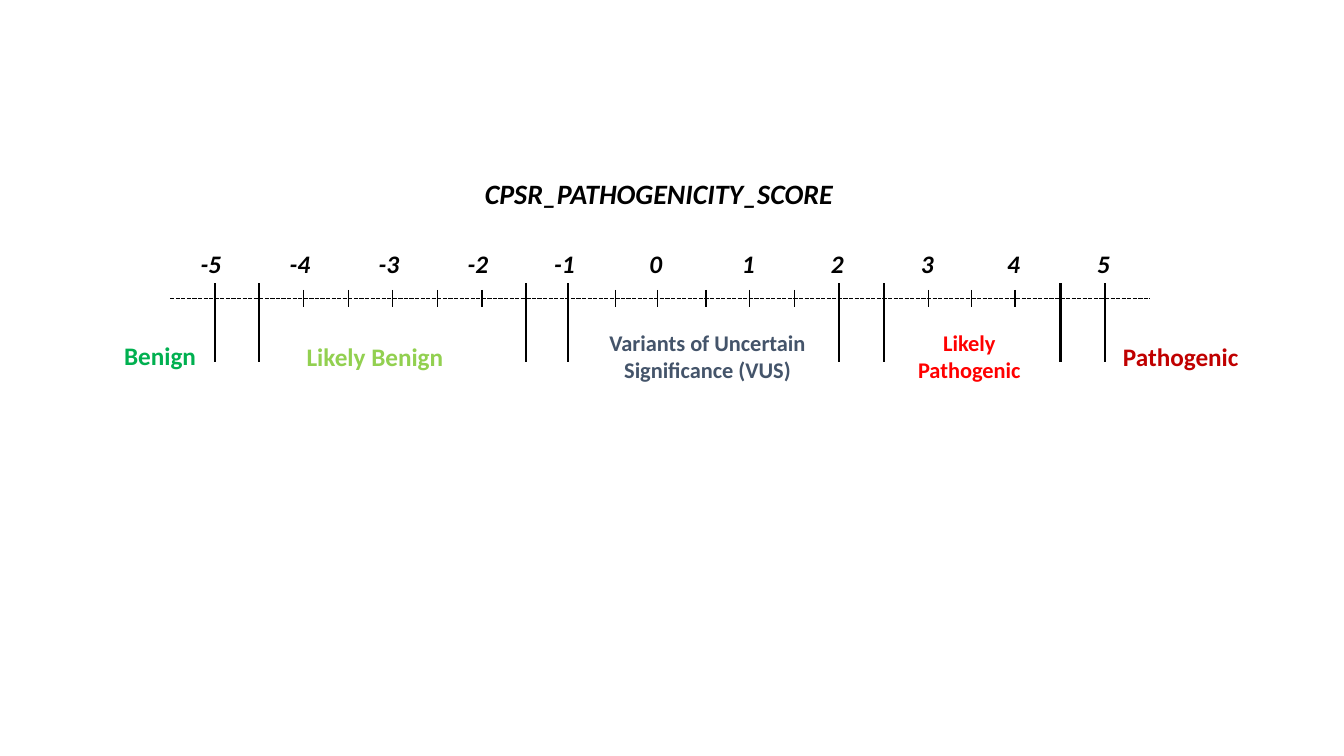
import pptx
import pptx.util
import pptx.dml.color
import pptx.enum.dml
import pptx.enum.shapes
import pptx.enum.text
import pptx.oxml.ns
import lxml.etree

HUES = {"black": "000000", "green": "00B050", "lime": "92D050",
        "slate": "44546A", "red": "FF0000", "dark": "C00000"}
ALIGN = pptx.enum.text.PP_ALIGN

deck = pptx.Presentation()
deck.slide_width = pptx.util.Inches(13.33)
deck.slide_height = pptx.util.Inches(7.5)
slide = deck.slides.add_slide(deck.slide_layouts[5])

row = deck.slide_height / 75
unit = 0.883 * pptx.util.Inches(1)
zero = 6.545 * pptx.util.Inches(1)
axis = 29.6
nudge = {-1: -0.03, 0: -0.03, 0.5: 0.02, 1: 0.01, 1.5: 0.01, 2: 0.01, 2.5: 0.02, 3: 0.02, 4: -0.01}


def draw(left, top, right, base, width, dash=None):
    ends = [round(v) for v in (zero + left * unit, top * row, zero + right * unit, base * row)]
    line = slide.shapes.add_connector(pptx.enum.shapes.MSO_CONNECTOR.STRAIGHT, *ends)
    line.line.color.rgb = pptx.dml.color.RGBColor.from_string(HUES["black"])
    style = {"width": pptx.util.Pt(width), "dash_style": dash}
    for key, value in style.items():
        setattr(line.line, key, value)
    lxml.etree.SubElement(line._element.spPr, pptx.oxml.ns.qn("a:effectLst"))


def write(box, words, left, top, wide, high, size, hue, align=ALIGN.LEFT, italic=False):
    place = {"left": zero + left * unit, "top": top * row, "width": wide * unit, "height": high * row}
    for key, value in place.items():
        setattr(box, key, round(value))
    frame = box.text_frame
    frame.text = words
    style = {"word_wrap": True, "auto_size": pptx.enum.text.MSO_AUTO_SIZE.SHAPE_TO_FIT_TEXT,
             "vertical_anchor": pptx.enum.text.MSO_ANCHOR.TOP}
    for key, value in style.items():
        setattr(frame, key, value)
    face = {"name": "Calibri", "size": pptx.util.Pt(size), "bold": True, "italic": italic}
    for para in frame.paragraphs:
        para.alignment = align
        for run in para.runs:
            for key, value in face.items():
                setattr(run.font, key, value)
            run.font.color.rgb = pptx.dml.color.RGBColor.from_string(HUES[hue])


write(slide.shapes.title, "CPSR_PATHOGENICITY_SCORE", -2.08, 17, 4.52, 4.4, 20, "black", italic=True)

zones = [
    ("Benign", -6.13, 33.3, 2.97, 4, 18, "green", ALIGN.LEFT),
    ("Likely Benign", -4.08, 33.4, 2.97, 4, 18, "lime", ALIGN.LEFT),
    ("Variants of Uncertain Significance (VUS)", -0.95, 32.2, 2.97, 6.4, 16, "slate", ALIGN.CENTER),
    ("Likely\nPathogenic", 1.99, 32.2, 2.97, 6.4, 16, "red", ALIGN.CENTER),
    ("Pathogenic", 5.09, 33.4, 2.5, 4, 18, "dark", ALIGN.LEFT),
]
for zone in zones:
    write(slide.shapes.add_textbox(0, 0, 0, 0), *zone)

for half in range(-11, 11):
    draw(half / 2, axis, (half + 1) / 2, axis, 1, pptx.enum.dml.MSO_LINE.SQUARE_DOT)

for half in range(-10, 11):
    score = half / 2
    spot = score + nudge.get(score, 0)
    draw(spot, axis - 0.85, spot, axis + 0.85, 1)
    if half % 2 == 0:
        shift = 0.27 if score < 0 else 0.2
        write(slide.shapes.add_textbox(0, 0, 0, 0), f"{half // 2}",
              spot - shift, 24.1, 0.85, 4, 18, "black", italic=True)

for score in (-5, -4.5, -1.5, -1, 2, 2.5, 4.5, 5):
    spot = score + nudge.get(score, 0)
    draw(spot, 28.1, spot, 35.9, 1.5)

deck.save("out.pptx")
